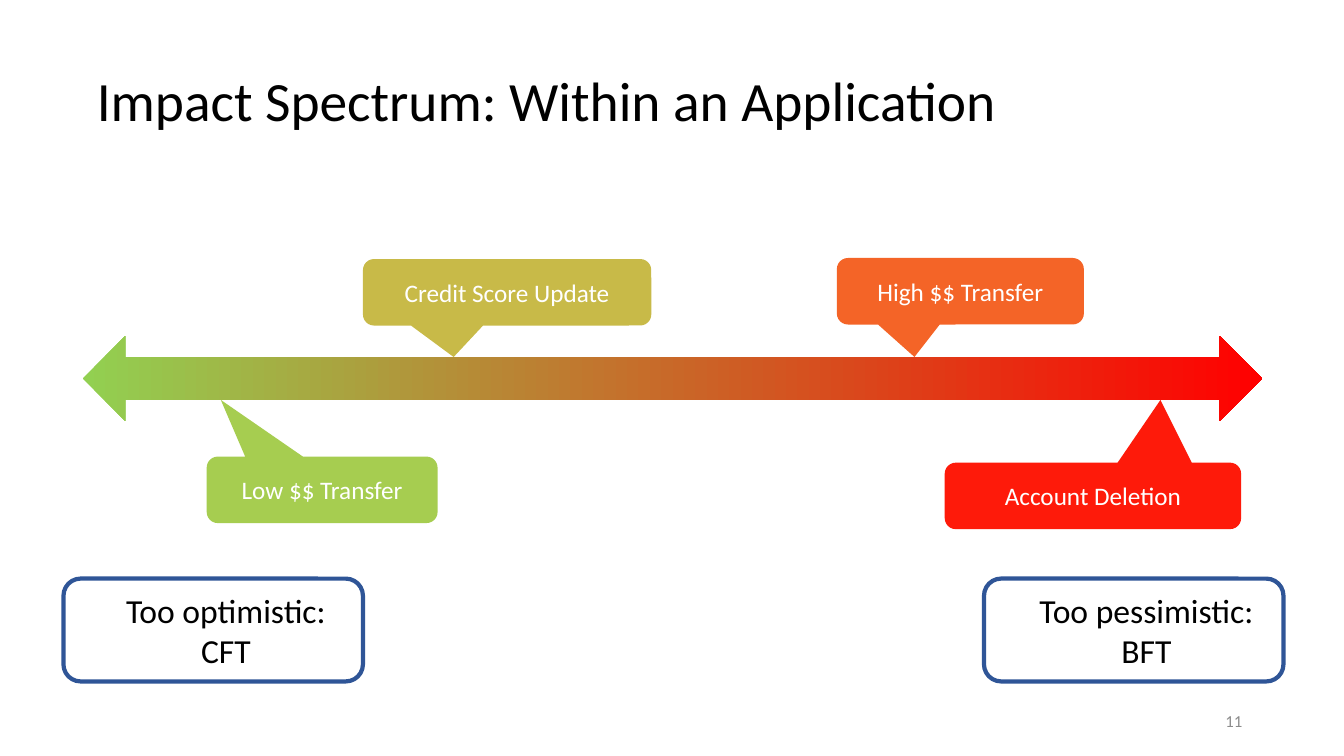
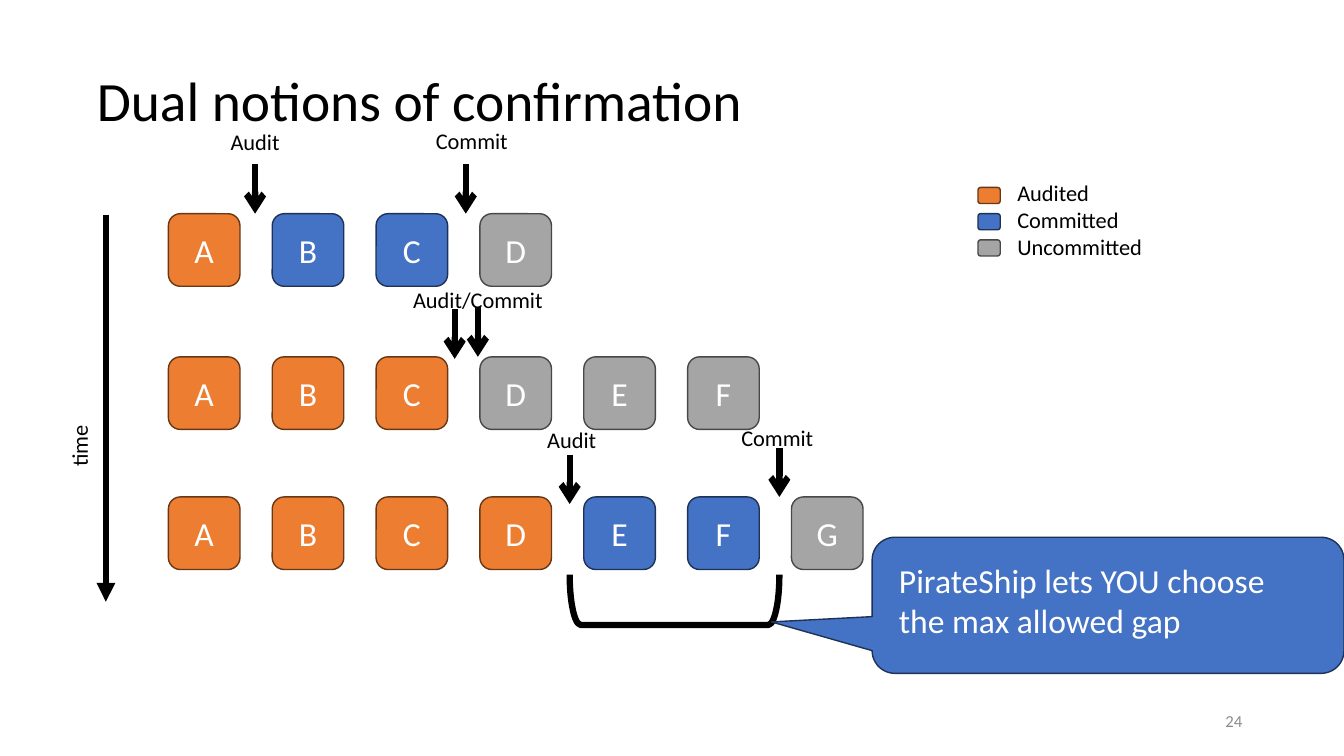
from lxml import etree
from pptx import Presentation
from pptx import util as u
from pptx.dml.color import RGBColor
from pptx.enum import shapes, text
from pptx.oxml import ns

FONT = "Calibri"
BLACK, WHITE, NUMBER_GREY, OUTLINE = "000000", "FFFFFF", "8C8C8C", "2F5597"
SLIDE_WIDTH, SLIDE_HEIGHT = 13.33, 7.5
TITLE_AREA = (0.91, 0.69, 11.5, 0.68)
NUMBER_AREA = (11.99, 7, 0.43, 0.3)
WIDE_INSETS = (0.2, 0.16, 0.2, 0.16)
NO_INSETS = (0, 0, 0, 0)
LEFT, CENTER, RIGHT = text.PP_ALIGN.LEFT, text.PP_ALIGN.CENTER, text.PP_ALIGN.RIGHT
TOP, MIDDLE, BOTTOM = text.MSO_ANCHOR.TOP, text.MSO_ANCHOR.MIDDLE, text.MSO_ANCHOR.BOTTOM
KIND = shapes.MSO_SHAPE

# Impact spectrum: label, fill, box, x of the tip
SPECTRUM = (0.82, 3.33, 11.7, 0.85)
SPECTRUM_COLORS = ("92D051", "FF0000")
OPERATIONS = [
    ("Low $$ Transfer", "A6CD50", (2.05, 4.53, 2.29, 0.66), 2.19),
    ("High $$ Transfer", "F46427", (8.3, 2.56, 2.45, 0.66), 9.07),
    ("Account Deletion", "FE1A0A", (9.37, 4.59, 2.94, 0.66), 11.51),
    ("Credit Score Update", "C8BA48", (3.6, 2.57, 2.86, 0.66), 4.5),
]
EXTREMES = [("Too optimistic: CFT", 0.63), ("Too pessimistic: BFT", 9.76)]

# Confirmation: each state has a name, a fill and a line colour
STATES = {
    "a": ("Audited", "ED7D31", "683715"),
    "c": ("Committed", "4472C4", "1E3256"),
    "u": ("Uncommitted", "A5A5A5", "484848"),
}
# Log rows: top, block letters, block states
LOGS = [(2.12, "ABCD", "accu"), (3.54, "ABCDEF", "aaauuu"), (4.93, "ABCDEFG", "aaaaccu")]
BLOCK_LEFT, BLOCK_PITCH, BLOCK_WIDTH, BLOCK_HEIGHT = 1.67, 1.03, 0.71, 0.72
# Markers: label, its centre and top, arrow starts
MARKERS = [
    ("Audit", 2.53, 1.27, [(2.53, 1.63)]),
    ("Commit", 4.68, 1.26, [(4.62, 1.63)]),
    ("Audit/Commit", 4.74, 2.84, [(4.51, 3.07), (4.74, 3.05)]),
    ("Audit", 5.67, 4.23, [(5.65, 4.51)]),
    ("Commit", 7.71, 4.21, [(7.73, 4.44)]),
]
MARKER_LENGTH, LABEL_WIDTH, LABEL_HEIGHT = 0.49, 2.4, 0.27
GAP_NOTE = "PirateShip lets YOU choose the max allowed gap"


def rgb(color):
    return RGBColor.from_string(color)


def inches(values):
    return [u.Inches(value) for value in values]


def format_frame(frame, insets, anchor):
    frame.word_wrap = True
    frame.vertical_anchor = anchor
    (frame.margin_left, frame.margin_top,
     frame.margin_right, frame.margin_bottom) = inches(insets)


def write(frame, lines, size, color=BLACK, align=LEFT):
    for index, line in enumerate(lines):
        paragraph = frame.add_paragraph() if index else frame.paragraphs[0]
        paragraph.alignment = align
        run = paragraph.add_run()
        run.text = line
        run.font.name, run.font.size = FONT, u.Pt(size)
        run.font.color.rgb = rgb(color)


def add_label(slide, area, lines, size=16, color=BLACK, align=LEFT,
              insets=NO_INSETS, anchor=TOP):
    box = slide.shapes.add_textbox(*inches(area))
    format_frame(box.text_frame, insets, anchor)
    write(box.text_frame, lines, size, color, align)
    return box


def add_figure(slide, kind, area, fill=None, line=None, line_width=1):
    shape = slide.shapes.add_shape(kind, *inches(area))
    shape.shadow.inherit = False
    if fill:
        shape.fill.solid()
        shape.fill.fore_color.rgb = rgb(fill)
    else:
        shape.fill.background()
    if line:
        shape.line.color.rgb = rgb(line)
        shape.line.width = u.Pt(line_width)
    else:
        shape.line.fill.background()
    return shape


def add_callout(slide, area, tip, fill, line=None):
    """Add a rounded callout whose pointer ends at the tip, in slide inches."""
    shape = add_figure(slide, KIND.ROUNDED_RECTANGULAR_CALLOUT, area, fill, line)
    left, top, width, height = area
    shape.adjustments[0] = (tip[0] - left) / width - 0.5
    shape.adjustments[1] = (tip[1] - top) / height - 0.5
    return shape


def add_down_arrow(slide, x, top, bottom, head):
    arrow = slide.shapes.add_connector(
        shapes.MSO_CONNECTOR.STRAIGHT, *inches((x, top, x, bottom)))
    arrow.line.color.rgb = rgb(BLACK)
    arrow.line.width = u.Pt(4.5)
    etree.SubElement(arrow.line._get_or_add_ln(), ns.qn("a:tailEnd"), type=head)
    etree.SubElement(arrow._element.spPr, ns.qn("a:effectLst"))


def prepare_layout(presentation):
    layout = presentation.slide_layouts.get_by_name("Title Only")
    title = next(shape for shape in layout.placeholders
                 if shape.placeholder_format.type == shapes.PP_PLACEHOLDER.TITLE)
    title.left, title.top, title.width, title.height = inches(TITLE_AREA)
    format_frame(title.text_frame, (0.05,) * 4, BOTTOM)
    title.text_frame.auto_size = text.MSO_AUTO_SIZE.NONE
    return layout


def add_titled_slide(presentation, layout, title, number):
    slide = presentation.slides.add_slide(layout)
    frame = slide.shapes.title.text_frame
    write(frame, [title], 39.6)
    frame.paragraphs[0].line_spacing = 0.9
    add_label(slide, NUMBER_AREA, [number], 12, NUMBER_GREY, RIGHT,
              (0.1, 0.05, 0.1, 0.05), MIDDLE)
    return slide


def draw_spectrum(slide):
    spectrum = add_figure(slide, KIND.LEFT_RIGHT_ARROW, SPECTRUM)
    spectrum.fill.gradient()
    spectrum.fill.gradient_angle = 0
    for stop, color in zip(spectrum.fill.gradient_stops, SPECTRUM_COLORS):
        stop.color.rgb = rgb(color)

    _, spectrum_top, _, spectrum_height = SPECTRUM
    for label, fill, area, tip_x in OPERATIONS:
        edge = 0.25 if area[1] < spectrum_top else 0.75
        callout = add_callout(
            slide, area, (tip_x, spectrum_top + edge * spectrum_height), fill)
        format_frame(callout.text_frame, WIDE_INSETS, MIDDLE)
        write(callout.text_frame, [label], 18, WHITE, CENTER)

    for label, left in EXTREMES:
        box = add_figure(slide, KIND.ROUNDED_RECTANGLE, (left, 5.74, 2.97, 1.02),
                         WHITE, OUTLINE, 3)
        format_frame(box.text_frame, (0.35, 0.05, 0.1, 0.05), MIDDLE)
        write(box.text_frame, [label], 24, BLACK, CENTER)


def draw_logs(slide):
    for top, letters, states in LOGS:
        for column, (letter, state) in enumerate(zip(letters, states)):
            _, fill, line = STATES[state]
            area = (BLOCK_LEFT + column * BLOCK_PITCH, top, BLOCK_WIDTH, BLOCK_HEIGHT)
            block = add_figure(slide, KIND.ROUNDED_RECTANGLE, area, fill, line)
            format_frame(block.text_frame, WIDE_INSETS, MIDDLE)
            write(block.text_frame, [letter], 24, WHITE, CENTER)

    for label, center, top, starts in MARKERS:
        add_label(slide, (center - LABEL_WIDTH / 2, top, LABEL_WIDTH, LABEL_HEIGHT),
                  [label], align=CENTER)
        for x, start in starts:
            add_down_arrow(slide, x, start, start + MARKER_LENGTH, "arrow")


def draw_confirmation(slide):
    draw_logs(slide)
    add_down_arrow(slide, 1.05, 2.13, 5.97, "triangle")
    add_label(slide, (0.43, 4.14, 0.71, LABEL_HEIGHT), ["time"]).rotation = 270

    add_label(slide, (10.09, 1.78, 2.73, 0.81), [name for name, _, _ in STATES.values()])
    for row, (_, fill, line) in enumerate(STATES.values()):
        add_figure(slide, KIND.ROUNDED_RECTANGLE,
                   (9.7, 1.86 + 0.26 * row, 0.22, 0.16), fill, line)

    bracket = add_figure(slide, KIND.LEFT_BRACKET, (6.44, 4.91, 0.5, 2.08),
                         line=BLACK, line_width=4.5)
    bracket.rotation = 270
    bracket.adjustments[0] = 0.22

    _, fill, line = STATES["c"]
    note = add_callout(slide, (8.65, 5.33, 4.68, 1.35), (7.65, 6.17), fill, line)
    format_frame(note.text_frame, WIDE_INSETS, TOP)
    write(note.text_frame, [GAP_NOTE], 24, WHITE)


def main():
    presentation = Presentation()
    presentation.slide_width = u.Inches(SLIDE_WIDTH)
    presentation.slide_height = u.Inches(SLIDE_HEIGHT)
    layout = prepare_layout(presentation)
    for title, number, draw in (
        ("Impact Spectrum: Within an Application", "11", draw_spectrum),
        ("Dual notions of confirmation", "24", draw_confirmation),
    ):
        draw(add_titled_slide(presentation, layout, title, number))
    presentation.save("out.pptx")


if __name__ == "__main__":
    main()
